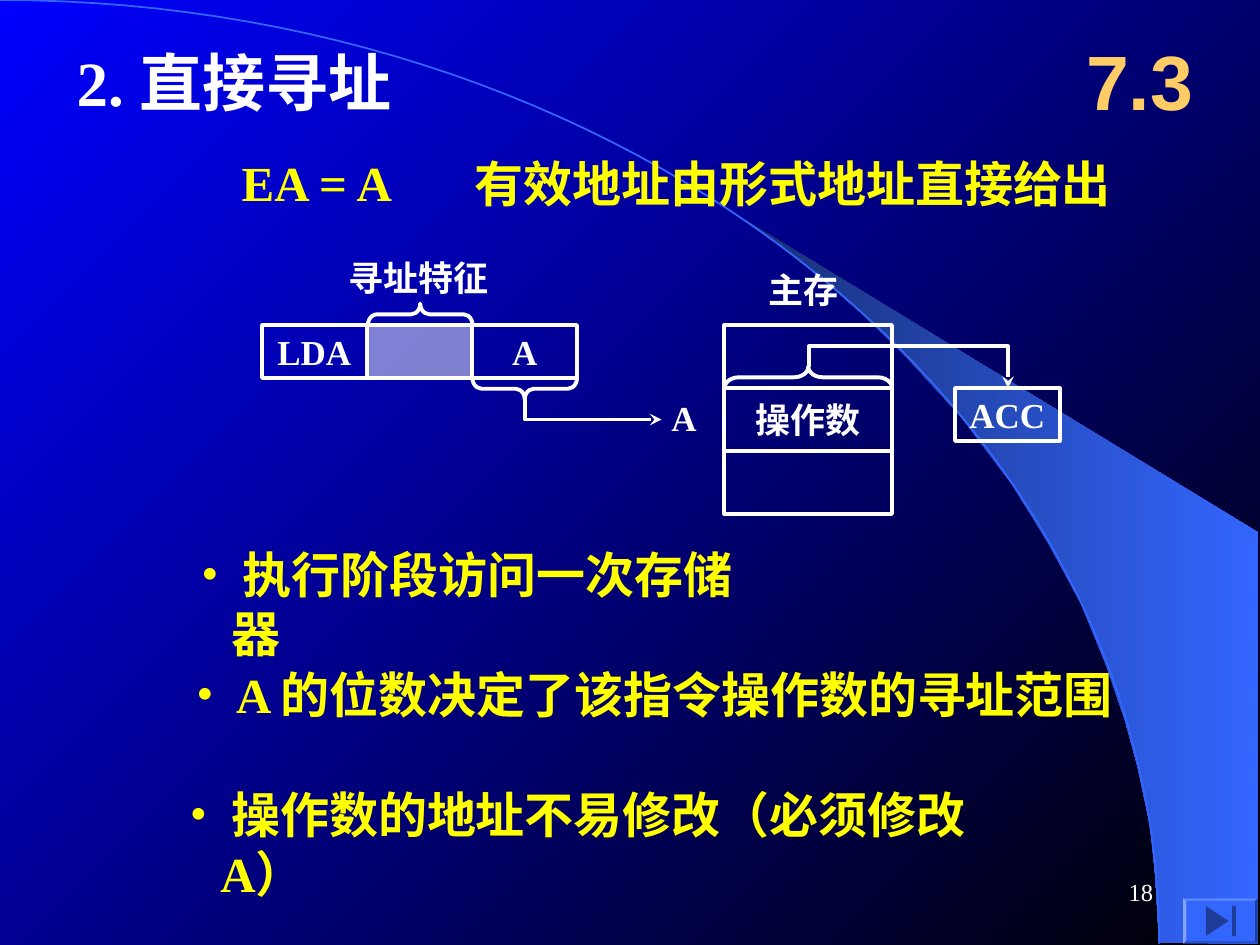
import pptx
import pptx.util
import pptx.dml.color
import pptx.enum.shapes
import pptx.enum.text
import pptx.oxml.ns
import lxml.etree

Inches, Pt = pptx.util.Inches, pptx.util.Pt
SHAPES = pptx.enum.shapes.MSO_SHAPE
ALIGN = pptx.enum.text.PP_ALIGN
ANCHOR = pptx.enum.text.MSO_ANCHOR

COLORS = {"white": "FFFFFF", "yellow": "FFFF00", "gold": "FFCC66", "blue": "0000FF",
          "black": "000000", "sky": "3366FF", "navy": "182F76"}
SERIF = "Times New Roman"

LABELS = [
    ("2. 直接寻址", 0.51, 0.3, 2.82, 0.7, 36, "white"),
    ("EA = A", 1.82, 1.16, 1.43, 0.57, 28, "yellow"),
    ("有效地址由形式地址直接给出", 3.67, 1.17, 5.75, 0.57, 28, "yellow"),
    ("主存", 6, 2.08, 0.85, 0.44, 20, "white"),
    ("寻址特征", 2.67, 1.99, 1.4, 0.44, 20, "white"),
    ("A", 5.23, 3.1, 0.4, 0.44, 20, "white"),
]
BULLETS = [
    (" 执行阶段访问一次存储器", 1.5, 4.69),
    (" A 的位数决定了该指令操作数的寻址范围", 1.46, 7.5),
    (" 操作数的地址不易修改（必须修改A）", 1.41, 7.0),
]
BULLET_TOP, BULLET_STEP, BULLET_INDENT = 4.27, 0.955, 0.24

INSTRUCTION = ["LDA", "", "A"]
MEMORY = ["", "操作数", ""]
FIELD_W, FIELD_H, FIELD_LEFT, ROW_TOP = 0.83, 0.42, 2.08, 2.58
CELL_W, CELL_H, MEMORY_LEFT = 1.33, 0.5, 5.75
BRACE_DEPTH = 0.17

ADDRESS_ARROW = [(4.17, 3.16), (4.17, 3.33), (5.25, 3.33)]
LOAD_ARROW = [(6.42, 2.91), (6.42, 2.75), (8, 2.75), (8, 3.08)]
ARC = [(0, 0), (5.08, 0), (9.2, 3.35), (9.2, 7.49)]
SWOOSH = [(9.2, 7.48), (9.99, 7.49), (9.99, 4.23), (5.89, 1.73), (6.24, 1.99), (6.53, 2.22),
          (6.85, 2.5), (7.16, 2.8), (7.62, 3.3), (8.03, 3.84), (8.32, 4.31), (8.58, 4.79),
          (8.78, 5.28), (8.93, 5.72), (9.03, 6.09), (9.13, 6.56), (9.17, 6.96), (9.2, 7.48)]
BUTTON_PARTS = [(SHAPES.BEVEL, 9.39, 7.13, 0.59, 0.36),
                (SHAPES.ACTION_BUTTON_END, 9.42, 7.15, 0.54, 0.32)]


def rgb(name):
    return pptx.dml.color.RGBColor.from_string(COLORS[name])


def add_xml(parent, tag, **attributes):
    return lxml.etree.SubElement(parent, pptx.oxml.ns.qn(tag), attributes)


def set_gradient(fill, names, angle):
    fill.gradient()
    fill.gradient_angle = angle
    for stop, name in zip(fill.gradient_stops, names):
        stop.color.rgb = rgb(name)


def outline(shape, color="white", width=2.25):
    shape.shadow.inherit = False
    shape.fill.background()
    shape.line.color.rgb = rgb(color)
    shape.line.width = Pt(width)
    return shape


def write(shape, text, size, color, font=SERIF, bold=True, align=ALIGN.LEFT,
          anchor=ANCHOR.TOP, wrap=False):
    frame = shape.text_frame
    frame.word_wrap = wrap
    frame.vertical_anchor = anchor
    frame.text = text
    para = frame.paragraphs[0]
    para.alignment = align
    for span in para.runs:
        span.font.name, span.font.size, span.font.bold = font, Pt(size), bold
        span.font.color.rgb = rgb(color)
    return para


def add_text(slide, text, left, top, width, height, size, color, **options):
    box = slide.shapes.add_textbox(*map(Inches, (left, top, width, height)))
    return write(box, text, size, color, **options)


def add_box(slide, text, left, top, width, height):
    box = outline(slide.shapes.add_shape(
        SHAPES.RECTANGLE, *map(Inches, (left, top, width, height))))
    if text:
        write(box, text, 20, "white", align=ALIGN.CENTER, anchor=ANCHOR.MIDDLE)
    return box


def add_brace(slide, left, top, length, rotation, curl):
    middle_x, middle_y = left + length / 2, top + BRACE_DEPTH / 2
    brace = outline(slide.shapes.add_shape(
        SHAPES.LEFT_BRACE, Inches(middle_x - BRACE_DEPTH / 2), Inches(middle_y - length / 2),
        Inches(BRACE_DEPTH), Inches(length)))
    brace.rotation = rotation
    brace.adjustments[0] = curl


def add_path(slide, points, close=False):
    scaled = [(Inches(x), Inches(y)) for x, y in points]
    builder = slide.shapes.build_freeform(*scaled[0])
    builder.add_line_segments(scaled[1:], close=close)
    return outline(builder.convert_to_shape())


def add_arrow(slide, points):
    arrow = add_path(slide, points)
    add_xml(arrow.line._get_or_add_ln(), "a:tailEnd", type="stealth")


def curve_points(controls, steps=60):
    weights = (1, 3, 3, 1)
    for step in range(steps + 1):
        t = step / steps
        parts = [w * t ** i * (1 - t) ** (3 - i) for i, w in enumerate(weights)]
        yield tuple(sum(p * c[axis] for p, c in zip(parts, controls)) for axis in (0, 1))


def add_backdrop(slide):
    set_gradient(slide.background.fill, ("blue", "black"), 315)
    swoosh = add_path(slide, SWOOSH, close=True)
    swoosh.line.fill.background()
    set_gradient(swoosh.fill, ("navy", "sky"), 0)
    arc = add_path(slide, list(curve_points(ARC)))
    outline(arc, "sky", 1)


def add_diagram(slide):
    for row, text in enumerate(MEMORY):
        add_box(slide, text, MEMORY_LEFT, ROW_TOP + row * CELL_H, CELL_W, CELL_H)
    for column, text in enumerate(INSTRUCTION):
        field = add_box(slide, text, FIELD_LEFT + column * (FIELD_W + 0.005), ROW_TOP,
                        FIELD_W, FIELD_H)
        if not text:
            field.fill.solid()
            field.fill.fore_color.rgb = rgb("white")
            color = field.fill._xPr.find(".//" + pptx.oxml.ns.qn("a:srgbClr"))
            add_xml(color, "a:alpha", val="50000")
    add_box(slide, "ACC", 7.58, 3.08, FIELD_W, FIELD_H)
    add_brace(slide, 2.92, ROW_TOP - BRACE_DEPTH, FIELD_W, 90, 0.42)
    add_brace(slide, 3.75, ROW_TOP + FIELD_H, FIELD_W, 270, 0.42)
    add_brace(slide, MEMORY_LEFT, ROW_TOP + CELL_H - BRACE_DEPTH, CELL_W, 90, 0.67)
    add_arrow(slide, ADDRESS_ARROW)
    add_arrow(slide, LOAD_ARROW)


def add_bullets(slide):
    for index, (text, left, width) in enumerate(BULLETS):
        para = add_text(slide, text, left, BULLET_TOP + index * BULLET_STEP, width, 0.57,
                        28, "yellow", wrap=True)
        properties = para._p.get_or_add_pPr()
        properties.set("marL", str(Inches(BULLET_INDENT)))
        properties.set("indent", str(-Inches(BULLET_INDENT)))
        add_xml(add_xml(properties, "a:buClr"), "a:srgbClr", val=COLORS["yellow"])
        add_xml(properties, "a:buFont", typeface=SERIF)
        add_xml(properties, "a:buChar", char="•")


def add_button(slide):
    for kind, *place in BUTTON_PARTS:
        part = outline(slide.shapes.add_shape(kind, *map(Inches, place)))
        part.fill.solid()
        part.fill.fore_color.rgb = rgb("sky")
        part.line.fill.background()
        if kind == SHAPES.BEVEL:
            part.adjustments[0] = 0.07


def main():
    deck = pptx.Presentation()
    deck.slide_width, deck.slide_height = Inches(10), Inches(7.5)
    slide = deck.slides.add_slide(deck.slide_layouts[6])
    add_backdrop(slide)
    add_diagram(slide)
    for label in LABELS:
        add_text(slide, *label)
    add_bullets(slide)
    add_text(slide, "7.3", 8.42, 0.17, 1.25, 0.92, 44, "gold", font="Arial",
             align=ALIGN.CENTER, anchor=ANCHOR.MIDDLE, wrap=True)
    add_button(slide)
    add_text(slide, "18", 7.17, 6.83, 2.08, 0.5, 14, "white", bold=False,
             align=ALIGN.RIGHT, anchor=ANCHOR.MIDDLE, wrap=True)
    deck.save("out.pptx")


if __name__ == "__main__":
    main()
